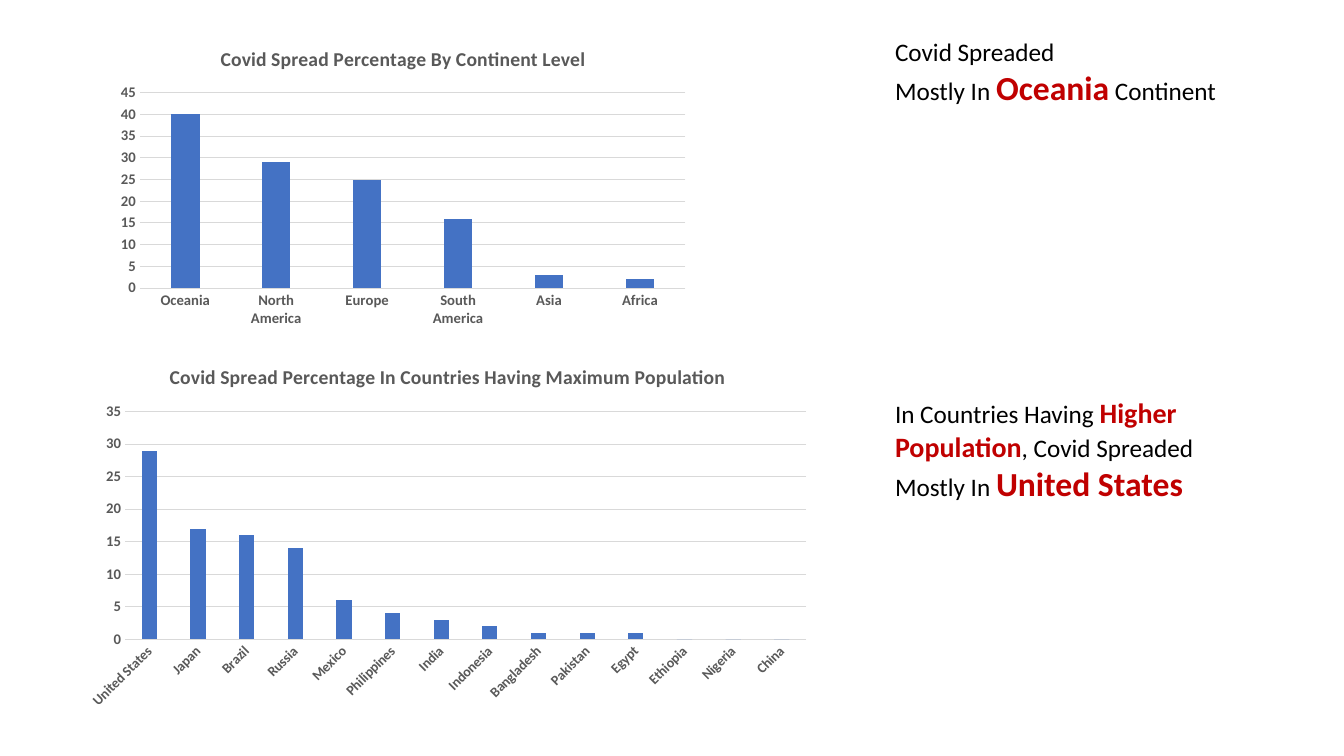
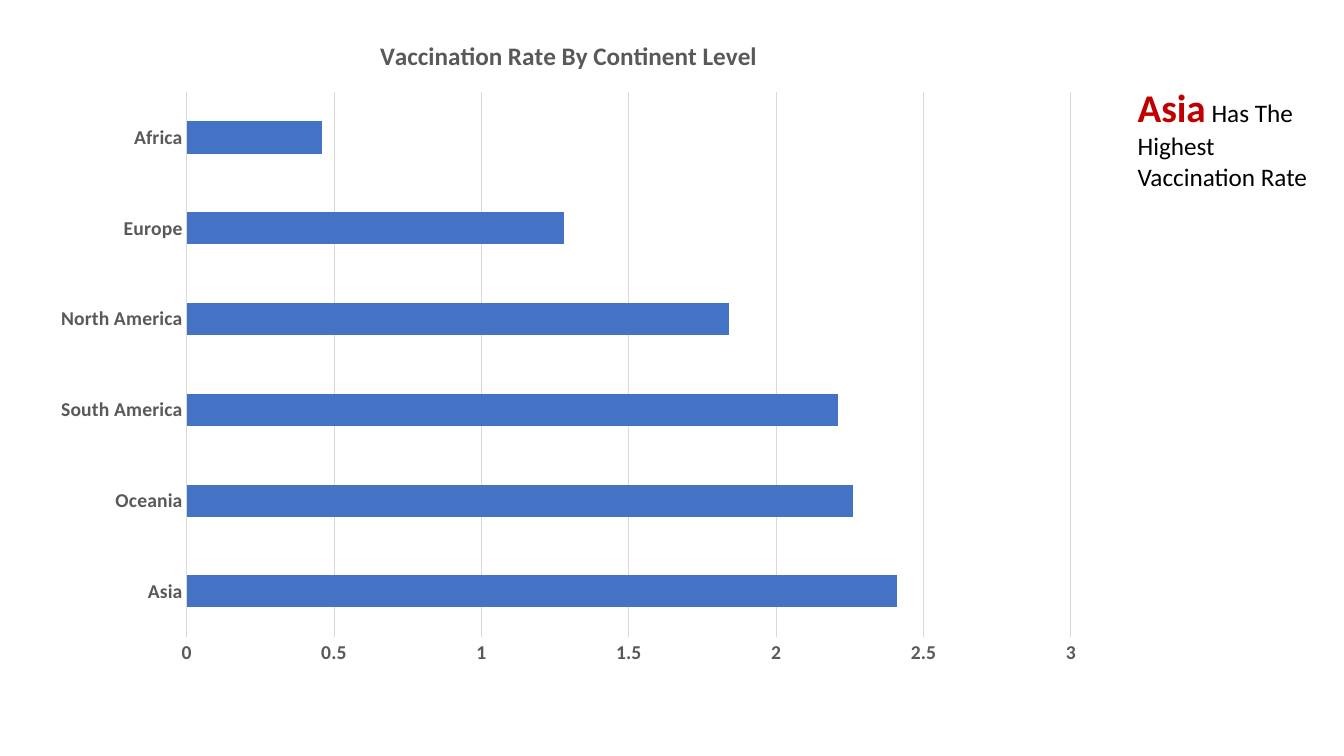
from dataclasses import dataclass

from pptx import Presentation
from pptx.chart.data import CategoryChartData
from pptx.dml.color import RGBColor
from pptx.enum.chart import XL_CHART_TYPE, XL_TICK_MARK
from pptx.enum.text import MSO_AUTO_SIZE
from pptx.util import Emu, Pt

EMU_PER_PX = 9525


@dataclass(frozen=True)
class Theme:
    """Colours, font and type sizes shared by the slides."""
    font: str = "Calibri"
    ink: str = "000000"
    accent: str = "C00000"
    label: str = "595959"
    rule: str = "D9D9D9"
    bar: str = "4472C4"
    body: float = 18
    strong: float = 20
    headline: float = 24
    hero: float = 28
    chart_title: float = 14
    chart_title_large: float = 18
    axis_small: float = 10
    axis: float = 10.5
    axis_large: float = 14
    rule_width: float = 0.75


THEME = Theme()


def px(length):
    """Turn pixels into EMU."""
    return Emu(length * EMU_PER_PX)


def style_font(font, size, color, bold=False):
    """Apply the theme font with a size, colour and weight."""
    font.name = THEME.font
    font.size = Pt(size)
    font.bold = bold
    font.color.rgb = RGBColor.from_string(color)


def add_text(paragraph, text, size=THEME.body, color=THEME.ink, bold=False):
    """Append a formatted run to a paragraph."""
    run = paragraph.add_run()
    run.text = text
    style_font(run.font, size, color, bold)


def emphasis(text, size):
    """Describe a bold accent-coloured run."""
    return text, {"size": size, "color": THEME.accent, "bold": True}


def plain(text):
    """Describe a run of body text."""
    return text, {}


class Deck:
    """Holds the presentation, its theme and the current slide."""

    def __init__(self, theme):
        self.theme = theme
        self.presentation = Presentation()
        self.presentation.slide_width = px(1280)
        self.presentation.slide_height = px(720)
        self.slide = None

    def new_slide(self):
        """Start a blank slide."""
        blank = self.presentation.slide_layouts[6]
        self.slide = self.presentation.slides.add_slide(blank)

    def takeaway(self, bounds, *paragraphs):
        """Add a text box built from paragraphs of described runs."""
        frame = self.slide.shapes.add_textbox(*map(px, bounds)).text_frame
        frame.word_wrap = True
        frame.auto_size = MSO_AUTO_SIZE.SHAPE_TO_FIT_TEXT
        for index, runs in enumerate(paragraphs):
            paragraph = frame.add_paragraph() if index else frame.paragraphs[0]
            for text, style in runs:
                add_text(paragraph, text, **style)

    def rule(self, line):
        """Style a thin chart line."""
        line.width = Pt(self.theme.rule_width)
        line.color.rgb = RGBColor.from_string(self.theme.rule)

    def axis(self, axis, size):
        """Style the labels of an axis."""
        axis.major_tick_mark = XL_TICK_MARK.NONE
        axis.minor_tick_mark = XL_TICK_MARK.NONE
        style_font(axis.tick_labels.font, size, self.theme.label, True)

    def chart(self, bounds, title, rates, maximum, step,
              kind=XL_CHART_TYPE.COLUMN_CLUSTERED, gap=219, overlap=-27,
              title_size=THEME.chart_title, value_size=THEME.axis,
              category_size=THEME.axis, slanted=False):
        """Add a single-series bar or column chart."""
        data = CategoryChartData()
        data.categories = list(rates)
        data.add_series("Series 1", list(rates.values()))
        chart = self.slide.shapes.add_chart(kind, *map(px, bounds), data).chart
        style_font(chart.font, self.theme.axis_small, self.theme.ink)
        chart.has_legend = False
        chart.has_title = True
        add_text(chart.chart_title.text_frame.paragraphs[0], title,
                 size=title_size, color=self.theme.label, bold=True)

        self.axis(chart.category_axis, category_size)
        self.rule(chart.category_axis.format.line)
        if slanted:
            for body in chart.element.xpath("//c:catAx/c:txPr/a:bodyPr"):
                body.set("rot", "-2700000")

        values = chart.value_axis
        self.axis(values, value_size)
        values.format.line.fill.background()
        values.minimum_scale = 0
        values.maximum_scale = maximum
        values.major_unit = step
        values.has_major_gridlines = True
        self.rule(values.major_gridlines.format.line)

        plot = chart.plots[0]
        plot.vary_by_categories = False
        plot.gap_width = gap
        plot.overlap = overlap
        fill = plot.series[0].format.fill
        fill.solid()
        fill.fore_color.rgb = RGBColor.from_string(self.theme.bar)


def build_spread(deck):
    """Build the slide on how far Covid spread."""
    continents = {"Oceania": 40, "North America": 29, "Europe": 25,
                  "South America": 16, "Asia": 3, "Africa": 2}
    countries = {"United States": 29, "Japan": 17, "Brazil": 16,
                 "Russia": 14, "Mexico": 6, "Philippines": 4,
                 "India": 3, "Indonesia": 2, "Bangladesh": 1,
                 "Pakistan": 1, "Egypt": 1, "Ethiopia": 0,
                 "Nigeria": 0, "China": 0}
    deck.new_slide()
    deck.chart((104, 29, 560, 289),
               "Covid Spread Percentage By Continent Level",
               continents, maximum=45, step=5)
    deck.chart((71, 330, 711, 352),
               "Covid Spread Percentage In Countries Having Maximum Population",
               countries, maximum=35, step=5,
               category_size=THEME.axis_small, slanted=True)
    deck.takeaway((843, 30, 369, 78),
                  [plain("Covid Spreaded")],
                  [plain("Mostly In "), emphasis("Oceania", THEME.headline),
                   plain(" Continent")])
    deck.takeaway((843, 372, 366, 113),
                  [plain("In Countries Having "),
                   emphasis("Higher Population", THEME.strong),
                   plain(", Covid Spreaded Mostly In "),
                   emphasis("United States", THEME.headline)])


def build_vaccination(deck):
    """Build the slide on vaccination rates."""
    continents = {"Asia": 2.41, "Oceania": 2.26, "South America": 2.21,
                  "North America": 1.84, "Europe": 1.28, "Africa": 0.46}
    deck.new_slide()
    deck.chart((38, 14, 1007, 632), "Vaccination Rate By Continent Level",
               continents, maximum=3, step=0.5,
               kind=XL_CHART_TYPE.BAR_CLUSTERED, gap=182, overlap=0,
               title_size=THEME.chart_title_large,
               value_size=THEME.axis_large, category_size=THEME.axis_large)
    deck.takeaway((1074, 75, 186, 113),
                  [emphasis("Asia", THEME.hero),
                   plain(" Has The Highest Vaccination Rate")])


def main():
    """Build and save the presentation."""
    deck = Deck(THEME)
    build_spread(deck)
    build_vaccination(deck)
    deck.presentation.save("out.pptx")


if __name__ == "__main__":
    main()
